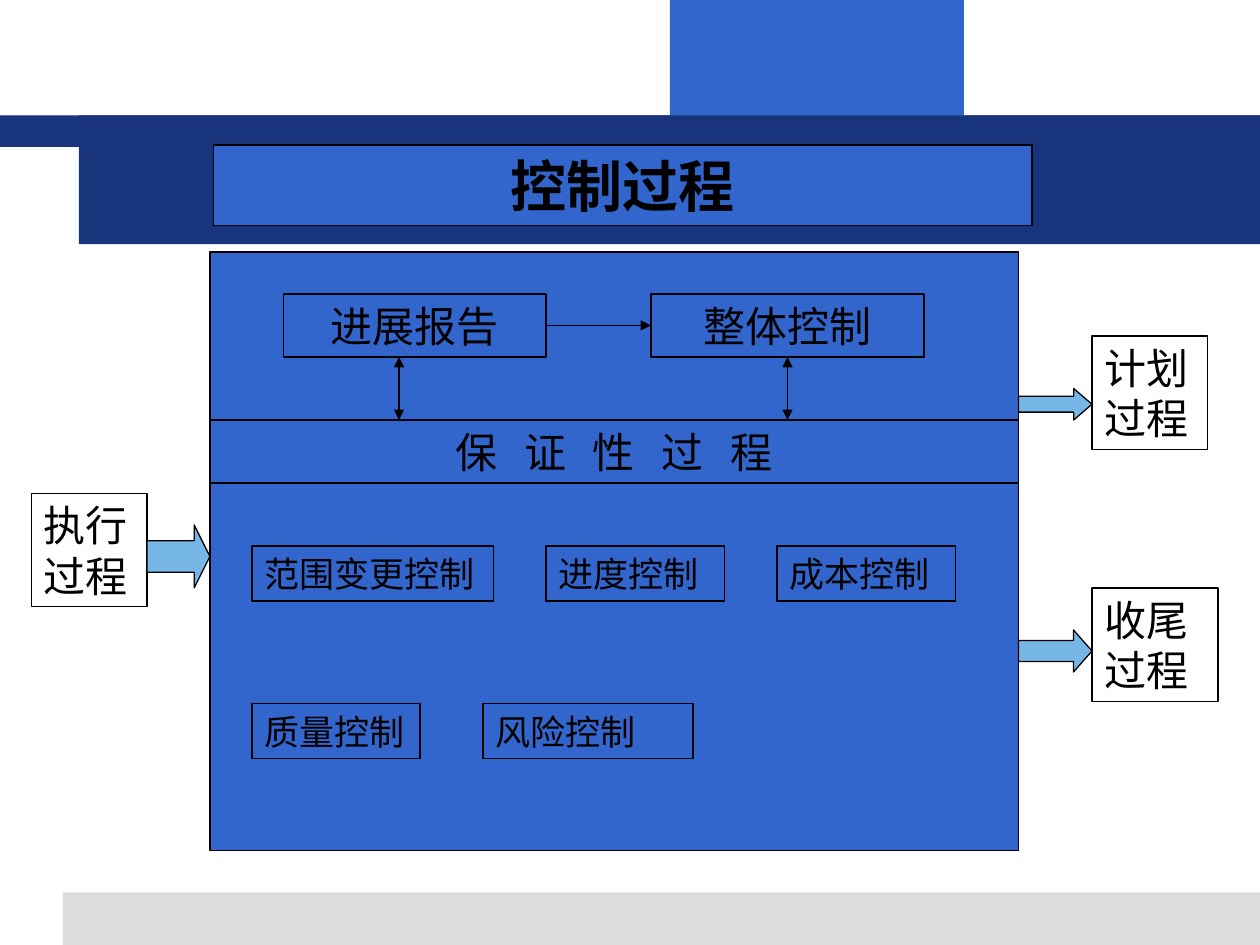
import pptx
import pptx.dml.color
import pptx.enum.shapes
import pptx.enum.text
import pptx.oxml.ns
import pptx.util
import lxml.etree

SHAPES = pptx.enum.shapes.MSO_SHAPE
ALIGN = pptx.enum.text.PP_ALIGN
CELLS_PER_INCH = 12  # the grid has 120 columns and 90 rows
BLUE, NAVY, SKY, GREY, BLACK = "3366CC", "17347D", "77B7E7", "DDDDDD", "000000"


def grid(*cells):
    return [pptx.util.Inches(cell / CELLS_PER_INCH) for cell in cells]


def color(value):
    return pptx.dml.color.RGBColor.from_string(value)


def paint(shape, fill=None, line=None):
    if fill:
        shape.fill.solid()
        shape.fill.fore_color.rgb = color(fill)
    else:
        shape.fill.background()
    if line:
        shape.line.color.rgb = color(line)
        shape.line.width = pptx.util.Pt(0.75)
    else:
        shape.line.fill.background()


def write(shape, text, size=24, bold=False, align=ALIGN.CENTER, tracking=0):
    frame = shape.text_frame
    frame.word_wrap = True
    frame.auto_size = pptx.enum.text.MSO_AUTO_SIZE.NONE
    frame.vertical_anchor = pptx.enum.text.MSO_ANCHOR.MIDDLE
    para = frame.paragraphs[0]
    para.alignment = align
    span = para.add_run()
    span.text = text
    span.font.name = "Times New Roman"
    span.font.size = pptx.util.Pt(size)
    span.font.bold = bold
    span.font.color.rgb = color(BLACK)
    if tracking:
        span.font._element.set("spc", str(tracking * 100))


def add_block(page, area, fill=None, line=None, kind=SHAPES.RECTANGLE):
    box = page.shapes.add_shape(kind, *grid(*area))
    box.shadow.inherit = False
    paint(box, fill, line)
    return box


def add_label(page, area, text, **text_format):
    write(add_block(page, area, line=BLACK), text, **text_format)


def add_block_arrow(page, area, head):
    arrow = add_block(page, area, SKY, BLACK, SHAPES.RIGHT_ARROW)
    arrow.adjustments[0], arrow.adjustments[1] = 0.5, head


def add_link(page, start, end, both_ways=False):
    link = page.shapes.add_connector(
        pptx.enum.shapes.MSO_CONNECTOR.STRAIGHT, *grid(*start, *end))
    link.line.color.rgb = color(BLACK)
    link.line.width = pptx.util.Pt(0.75)
    name = pptx.oxml.ns.qn
    stroke = link.line._get_or_add_ln()
    for tip in ("a:headEnd", "a:tailEnd") if both_ways else ("a:tailEnd",):
        lxml.etree.SubElement(stroke, name(tip), type="triangle")
    lxml.etree.SubElement(link._element.spPr, name("a:effectLst"))


def add_backdrop(page):
    add_block(page, (63.8, 0, 28, 11), BLUE)
    add_block(page, (6, 85, 114, 5), GREY)
    add_block(page, (0, 11, 120, 3), NAVY)
    add_block(page, (7.5, 11, 112.5, 12.25), NAVY)


def add_title(page, text):
    title = page.shapes.title
    title.left, title.top, title.width, title.height = grid(20.3, 13.8, 78, 7.65)
    paint(title, BLUE, BLACK)
    write(title, text, size=32, bold=True)
    # Bring the title in front of the bands
    page.shapes._spTree.append(title._element)


def add_control_panel(page):
    add_block(page, (20, 24, 77, 57), BLUE, BLACK)
    # Reporting and overall control
    add_label(page, (27, 28, 25, 6), "进展报告")
    add_label(page, (62, 28, 26, 6), "整体控制")
    add_label(page, (20, 40, 77, 6), "保 证 性 过 程", tracking=5)
    add_link(page, (52, 31), (62, 31))
    for column in (38, 75):
        add_link(page, (column, 34), (column, 40), both_ways=True)
    # Supporting controls: row, then column, width and name of each
    controls = {
        52: [(24, 23, "范围变更控制"), (52, 17, "进度控制"), (74, 17, "成本控制")],
        67: [(24, 16, "质量控制"), (46, 20, "风险控制")],
    }
    for row, labels in controls.items():
        for column, width, text in labels:
            add_label(page, (column, row, width, 5.25), text,
                      size=20, align=ALIGN.LEFT)


def add_neighbours(page):
    for column, row, width, text in [(104, 32, 11, "计划过程"),
                                     (104, 56, 12, "收尾过程"),
                                     (3, 47, 11, "执行过程")]:
        add_label(page, (column, row, width, 10.8), text, align=ALIGN.LEFT)
    add_block_arrow(page, (14, 50, 6, 6), 0.25)
    add_block_arrow(page, (97, 37, 7, 3), 0.58)
    add_block_arrow(page, (97, 60, 7, 4), 0.44)


def main():
    deck = pptx.Presentation()
    deck.slide_width, deck.slide_height = grid(120, 90)
    page = deck.slides.add_slide(deck.slide_layouts.get_by_name("Title Only"))
    add_backdrop(page)
    add_title(page, "控制过程")
    add_control_panel(page)
    add_neighbours(page)
    deck.save("out.pptx")


if __name__ == "__main__":
    main()
